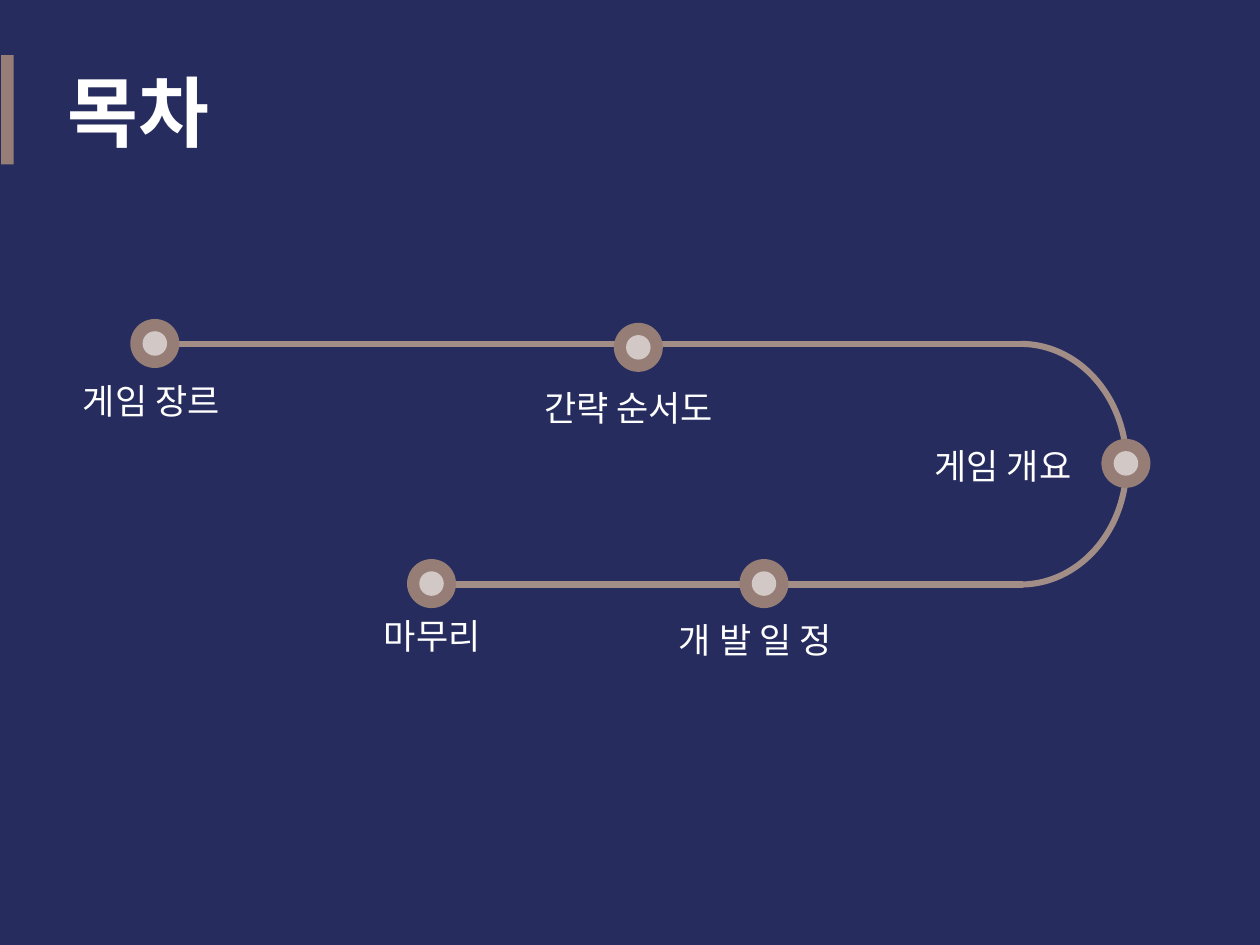
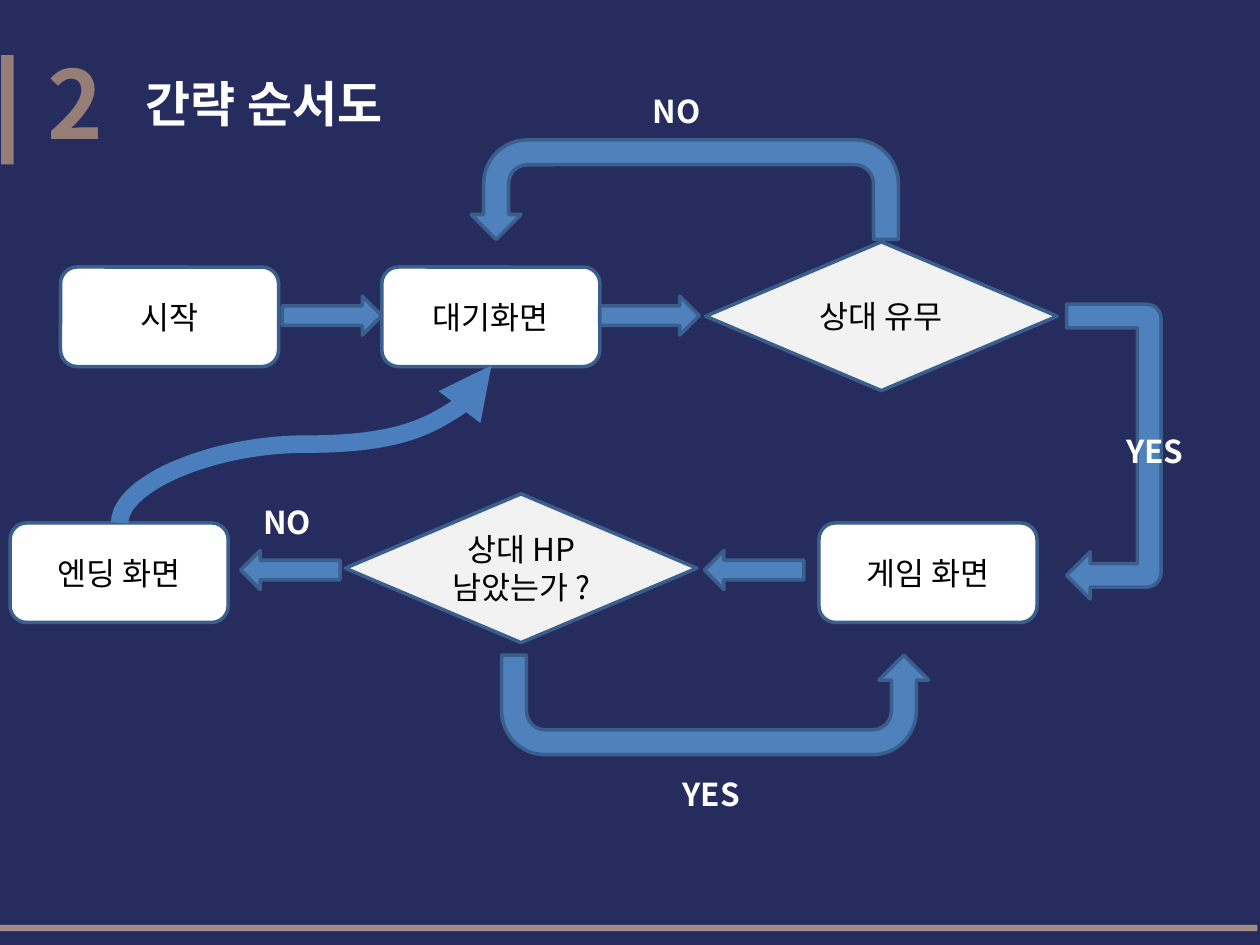
from dataclasses import dataclass

from lxml import etree
from pptx import Presentation
from pptx.dml.color import RGBColor
from pptx.enum.shapes import MSO_CONNECTOR, MSO_SHAPE
from pptx.enum.text import MSO_ANCHOR, MSO_AUTO_SIZE, PP_ALIGN
from pptx.oxml.ns import qn
from pptx.util import Pt

STRAIGHT, CURVE = MSO_CONNECTOR.STRAIGHT, MSO_CONNECTOR.CURVE
ARC, ELLIPSE, RECT = MSO_SHAPE.ARC, MSO_SHAPE.OVAL, MSO_SHAPE.RECTANGLE
SCREEN, DECISION = MSO_SHAPE.ROUNDED_RECTANGLE, MSO_SHAPE.FLOWCHART_DECISION
BLOCK_ARROW, U_ARROW = MSO_SHAPE.RIGHT_ARROW, MSO_SHAPE.U_TURN_ARROW
LEFT, CENTER = PP_ALIGN.LEFT, PP_ALIGN.CENTER

COLORS = {
    "navy": "262D5E", "brown": "967E76", "track": "A38E87", "white": "FFFFFF",
    "black": "000000", "grey": "F2F2F2", "blue": "4F81BD",
    "outline": "3A5F8C", "curve": "4B7EBC",
}
HEADING_FONT, LABEL_FONT = "Noto Sans CJK KR", "Calibri"
DOT, DOT_CORE = 28, 14
TRACK_TOP, TRACK_BOTTOM, TRACK_TURN = 196.5, 334, 584.5
SCREEN_SIZE, DECISION_SIZE = (124.6, 56.9), (200.9, 85)
ARROW_SIZE, LOOP_SIZE, SIDE_LOOP_SIZE = (56.9, 22.3), (244.1, 56.9), (168.5, 54)
LOOP_BEND, SIDE_LOOP_BEND = 0.438, 0.154


@dataclass(frozen=True)
class TextStyle:
    size: float
    color: str = "white"
    font: str = HEADING_FONT
    bold: bool = False
    align: PP_ALIGN = LEFT


@dataclass(frozen=True)
class Label:
    text: str
    left: float
    top: float
    width: float
    height: float
    style: TextStyle
    wrap: bool = True


@dataclass(frozen=True)
class Stop:
    """A timeline dot, given by its centre, with its label."""
    x: float
    y: float
    label: Label


@dataclass(frozen=True)
class Node:
    text: str
    kind: MSO_SHAPE
    left: float
    top: float


@dataclass(frozen=True)
class Arrow:
    kind: MSO_SHAPE
    left: float
    top: float
    size: tuple[float, float]
    flip: str = ""
    rotation: float = 0
    bend: float = 0


STOP_STYLE = TextStyle(20, font=LABEL_FONT)
STOP_CENTERED = TextStyle(20, font=LABEL_FONT, align=CENTER)
NODE_STYLE = TextStyle(18, "black", align=CENTER)
ANSWER_STYLE = TextStyle(18, bold=True)

STOPS = [
    Stop(88.5, 196.3, Label("게임 장르", 40.3, 213.1, 99.4, 31.7, STOP_STYLE)),
    Stop(364.8, 198.5, Label("간략 순서도", 303.8, 217.4, 128.2, 31.7, STOP_STYLE)),
    Stop(643.4, 264.8, Label("게임 개요", 527, 250.6, 99.4, 31.7, STOP_STYLE)),
    Stop(436.6, 333.5, Label("개 발 일 정", 380.9, 349.9, 111.6, 31.7, STOP_STYLE)),
    Stop(246.6, 333.5, Label("마무리", 197.3, 347.8, 99.4, 31.7, STOP_CENTERED)),
]
NODES = [
    Node("시작", SCREEN, 34.6, 152.6),
    Node("대기화면", SCREEN, 218.2, 152.6),
    Node("상대 유무", DECISION, 403.2, 138.2),
    Node("게임 화면", SCREEN, 468, 298.8),
    Node("상대 HP 남았는가 ?", DECISION, 197.3, 282.2),
    Node("엔딩 화면", SCREEN, 5.8, 298.8),
]
ARROWS = [
    Arrow(BLOCK_ARROW, 161.3, 169.2, ARROW_SIZE),
    Arrow(BLOCK_ARROW, 342.7, 169.2, ARROW_SIZE),
    Arrow(BLOCK_ARROW, 402.5, 314.6, ARROW_SIZE, "flipH"),
    Arrow(BLOCK_ARROW, 137.5, 314.6, ARROW_SIZE, "flipH"),
    Arrow(U_ARROW, 269.3, 79.9, LOOP_SIZE, "flipH", bend=LOOP_BEND),
    Arrow(U_ARROW, 286.6, 374.4, LOOP_SIZE, "flipV", bend=LOOP_BEND),
    Arrow(U_ARROW, 552.2, 231.1, SIDE_LOOP_SIZE, rotation=90, bend=SIDE_LOOP_BEND),
]
ANSWERS = [
    Label(text, left, top, 51.1, 29, ANSWER_STYLE)
    for text, left, top in [
        ("NO", 365.8, 49), ("YES", 636.5, 243.4),
        ("YES", 383, 439.2), ("NO", 143.3, 283.7),
    ]
]


def rgb(name: str) -> RGBColor:
    return RGBColor.from_string(COLORS[name])


def write(shape, text: str, style: TextStyle) -> None:
    para = shape.text_frame.paragraphs[0]
    para.text = text
    para.alignment = style.align
    font = para.font
    font.size, font.bold, font.name = Pt(style.size), style.bold, style.font
    font.color.rgb = rgb(style.color)


def add_label(page, label: Label) -> None:
    box = page.shapes.add_textbox(
        Pt(label.left), Pt(label.top), Pt(label.width), Pt(label.height))
    box.text_frame.word_wrap = label.wrap
    box.text_frame.auto_size = MSO_AUTO_SIZE.SHAPE_TO_FIT_TEXT
    write(box, label.text, label.style)


def add_figure(page, kind: MSO_SHAPE, left: float, top: float, width: float,
               height: float, fill: str = "", line: str = "", weight: float = 2):
    """Add a preset shape; an empty fill or line name means none."""
    shape = page.shapes.add_shape(kind, Pt(left), Pt(top), Pt(width), Pt(height))
    shape.shadow.inherit = False
    if fill:
        shape.fill.solid()
        shape.fill.fore_color.rgb = rgb(fill)
    else:
        shape.fill.background()
    if line:
        shape.line.color.rgb = rgb(line)
        shape.line.width = Pt(weight)
    else:
        shape.line.fill.background()
    return shape


def add_line(page, kind: MSO_CONNECTOR, start: tuple[float, float],
             end: tuple[float, float], color: str, weight: float):
    line = page.shapes.add_connector(
        kind, Pt(start[0]), Pt(start[1]), Pt(end[0]), Pt(end[1]))
    line.line.color.rgb = rgb(color)
    line.line.width = Pt(weight)
    etree.SubElement(line.element.spPr, qn("a:effectLst"))
    return line


def add_stop(page, stop: Stop) -> None:
    for size, color in ((DOT, "brown"), (DOT_CORE, "white")):
        dot = add_figure(page, ELLIPSE, stop.x - size / 2, stop.y - size / 2,
                         size, size, color)
    tint = dot.element.spPr.find(f"{qn('a:solidFill')}/{qn('a:srgbClr')}")
    etree.SubElement(tint, qn("a:alpha"), val="58000")
    add_label(page, stop.label)


def add_node(page, node: Node) -> None:
    is_screen = node.kind == SCREEN
    size = SCREEN_SIZE if is_screen else DECISION_SIZE
    shape = add_figure(page, node.kind, node.left, node.top, *size,
                       "white" if is_screen else "grey", "outline")
    shape.text_frame.word_wrap = True
    shape.text_frame.vertical_anchor = MSO_ANCHOR.MIDDLE
    write(shape, node.text, NODE_STYLE)


def add_arrow(page, arrow: Arrow) -> None:
    shape = add_figure(page, arrow.kind, arrow.left, arrow.top, *arrow.size,
                       "blue", "outline")
    shape.rotation = arrow.rotation
    if arrow.flip:
        shape.element.spPr.xfrm.set(arrow.flip, "1")
    if arrow.bend:
        for index, value in enumerate((0.25, 0.25, 0.25, arrow.bend, 1)):
            shape.adjustments[index] = value


def add_return_curve(page) -> None:
    """Curve from the ending screen up to the waiting screen, turned 90 degrees."""
    curve = add_line(page, CURVE, (219.6, 360), (129.6, 147.6), "curve", 10)
    curve.element.spPr.xfrm.set("rot", str(90 * 60000))
    outline = curve.element.spPr.find(qn("a:ln"))
    etree.SubElement(outline, qn("a:tailEnd"), type="triangle")


def add_page(deck):
    page = deck.slides.add_slide(deck.slide_layouts[6])
    page.background.fill.solid()
    page.background.fill.fore_color.rgb = rgb("navy")
    add_figure(page, RECT, 0.7, 31.5, 7.2, 62.5, "brown")
    return page


def build_contents(deck) -> None:
    page = add_page(deck)
    add_label(page, Label("목차", 31.7, 33.1, 108, 60.5, TextStyle(44, bold=True)))
    for start, y in ((86.4, TRACK_TOP), (247, TRACK_BOTTOM)):
        add_line(page, STRAIGHT, (start, y), (TRACK_TURN, y), "track", 3.5)
    turn = add_figure(page, ARC, 522.7, TRACK_TOP, 121, TRACK_BOTTOM - TRACK_TOP,
                      line="track", weight=3.5)
    turn.adjustments[0], turn.adjustments[1] = 162, 54.19
    for stop in STOPS:
        add_stop(page, stop)


def build_flowchart(deck) -> None:
    page = add_page(deck)
    add_figure(page, RECT, -0.7, 528.5, 719.3, 3.6, "track")
    add_label(page, Label("2", 20.2, 22.3, 73.4, 72.7,
                          TextStyle(54, "brown", bold=True)))
    add_label(page, Label("간략 순서도", 76.3, 38.2, 160.6, 41,
                          TextStyle(28, bold=True), wrap=False))
    for node in NODES:
        add_node(page, node)
    for arrow in ARROWS:
        add_arrow(page, arrow)
    for answer in ANSWERS:
        add_label(page, answer)
    add_return_curve(page)


def main() -> None:
    deck = Presentation()
    deck.slide_width, deck.slide_height = Pt(720), Pt(540)
    build_contents(deck)
    build_flowchart(deck)
    deck.save("out.pptx")


if __name__ == "__main__":
    main()
